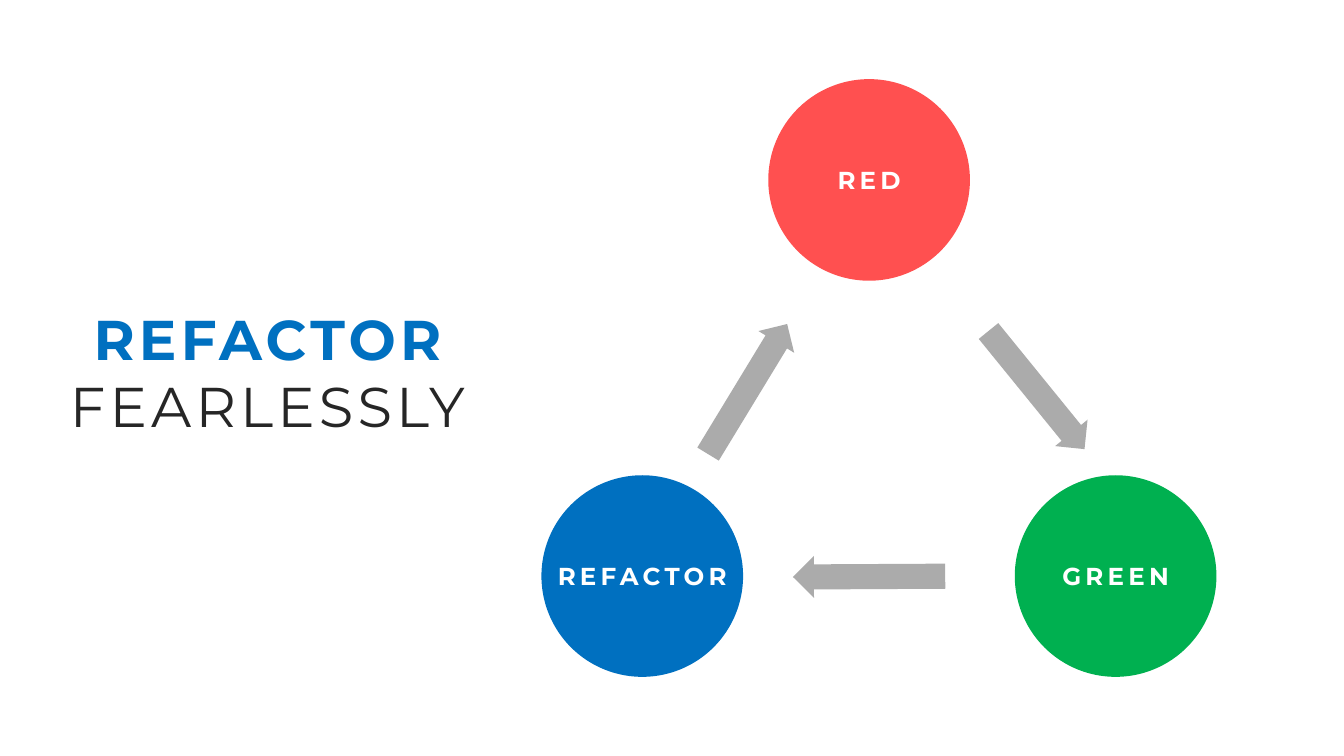
"""Build the red, green, refactor cycle slide."""
from pptx import Presentation
from pptx.dml.color import RGBColor
from pptx.enum.shapes import MSO_SHAPE
from pptx.enum.text import MSO_ANCHOR, MSO_AUTO_SIZE, PP_ALIGN
from pptx.util import Pt

PX = 9144
OVAL, ARROW = MSO_SHAPE.OVAL, MSO_SHAPE.RIGHT_ARROW
CENTER, MIDDLE = PP_ALIGN.CENTER, MSO_ANCHOR.MIDDLE
FIT_SHAPE, NO_FIT = MSO_AUTO_SIZE.SHAPE_TO_FIT_TEXT, MSO_AUTO_SIZE.NONE
TITLE_ONLY = 5

RED = RGBColor(0xFF, 0x50, 0x50)
GREEN = RGBColor(0x00, 0xB0, 0x50)
BLUE = RGBColor(0x00, 0x70, 0xC0)
GRAY = RGBColor(0xAB, 0xAB, 0xAB)
DARK = RGBColor(0x26, 0x26, 0x26)
WHITE = RGBColor(0xFF, 0xFF, 0xFF)

DIAMETER = 400
LABEL_HEIGHT = 69
ARROW_WIDTH, ARROW_HEIGHT = 302, 83
# name, colour, centre x, centre y, label width
STAGES = [
    ("RED", RED, 1724, 357, 375),
    ("GREEN", GREEN, 2213, 1143, 375),
    ("REFACTOR", BLUE, 1274, 1143, 486),
]
# centre x, centre y, rotation
ARROWS = [(1483, 772, 301.3), (2056, 774, 50.9), (1724, 1144, 179.7)]


class SlideBuilder:
    """Hold the slide and its style, and add each kind of element."""

    font_name = "Montserrat"
    letter_spacing = "600"

    def __init__(self, slide):
        self.slide = slide

    def box(self, center_x, center_y, width, height):
        """Return left, top, width and height in EMU around a centre."""
        left, top = center_x - width / 2, center_y - height / 2
        return [round(value * PX) for value in (left, top, width, height)]

    def format_paragraph(self, paragraph, text, size, color, bold):
        """Fill a centred, letter-spaced paragraph."""
        paragraph.text = text
        paragraph.alignment = CENTER
        font = paragraph.font
        font.name, font.size, font.bold = self.font_name, Pt(size), bold
        font.color.rgb = color
        properties = paragraph._p.get_or_add_pPr().get_or_add_defRPr()
        properties.set("spc", self.letter_spacing)

    def solid(self, preset, color, bounds):
        """Add a flat filled shape."""
        shape = self.slide.shapes.add_shape(preset, *bounds)
        shape.shadow.inherit = False
        shape.fill.solid()
        shape.fill.fore_color.rgb = color
        shape.line.fill.background()
        return shape

    def stage(self, name, color, center_x, center_y, label_width):
        """Add a circle with its label."""
        self.solid(OVAL, color, self.box(center_x, center_y, DIAMETER, DIAMETER))
        bounds = self.box(center_x, center_y, label_width, LABEL_HEIGHT)
        frame = self.slide.shapes.add_textbox(*bounds).text_frame
        frame.word_wrap = True
        frame.auto_size = FIT_SHAPE
        self.format_paragraph(frame.paragraphs[0], name, 35, WHITE, True)

    def arrow(self, center_x, center_y, rotation):
        """Add a rotated block arrow."""
        bounds = self.box(center_x, center_y, ARROW_WIDTH, ARROW_HEIGHT)
        shape = self.solid(ARROW, GRAY, bounds)
        shape.adjustments[0] = 0.6
        shape.adjustments[1] = 0.5
        shape.rotation = rotation

    def title(self, strong, light):
        """Place the two-line title."""
        title = self.slide.shapes.title
        title.left, title.top, title.width, title.height = self.box(531, 737, 894, 279)
        frame = title.text_frame
        frame.word_wrap = True
        frame.auto_size = NO_FIT
        frame.vertical_anchor = MIDDLE
        self.format_paragraph(frame.paragraphs[0], strong, 80, BLUE, True)
        self.format_paragraph(frame.add_paragraph(), light, 80, DARK, False)


def main():
    """Build and save the presentation."""
    presentation = Presentation()
    presentation.slide_width, presentation.slide_height = 2666 * PX, 1500 * PX
    layout = presentation.slide_layouts[TITLE_ONLY]
    builder = SlideBuilder(presentation.slides.add_slide(layout))
    builder.title("REFACTOR", "FEARLESSLY")
    for arrow in ARROWS:
        builder.arrow(*arrow)
    for stage in STAGES:
        builder.stage(*stage)
    presentation.save("out.pptx")


if __name__ == "__main__":
    main()
